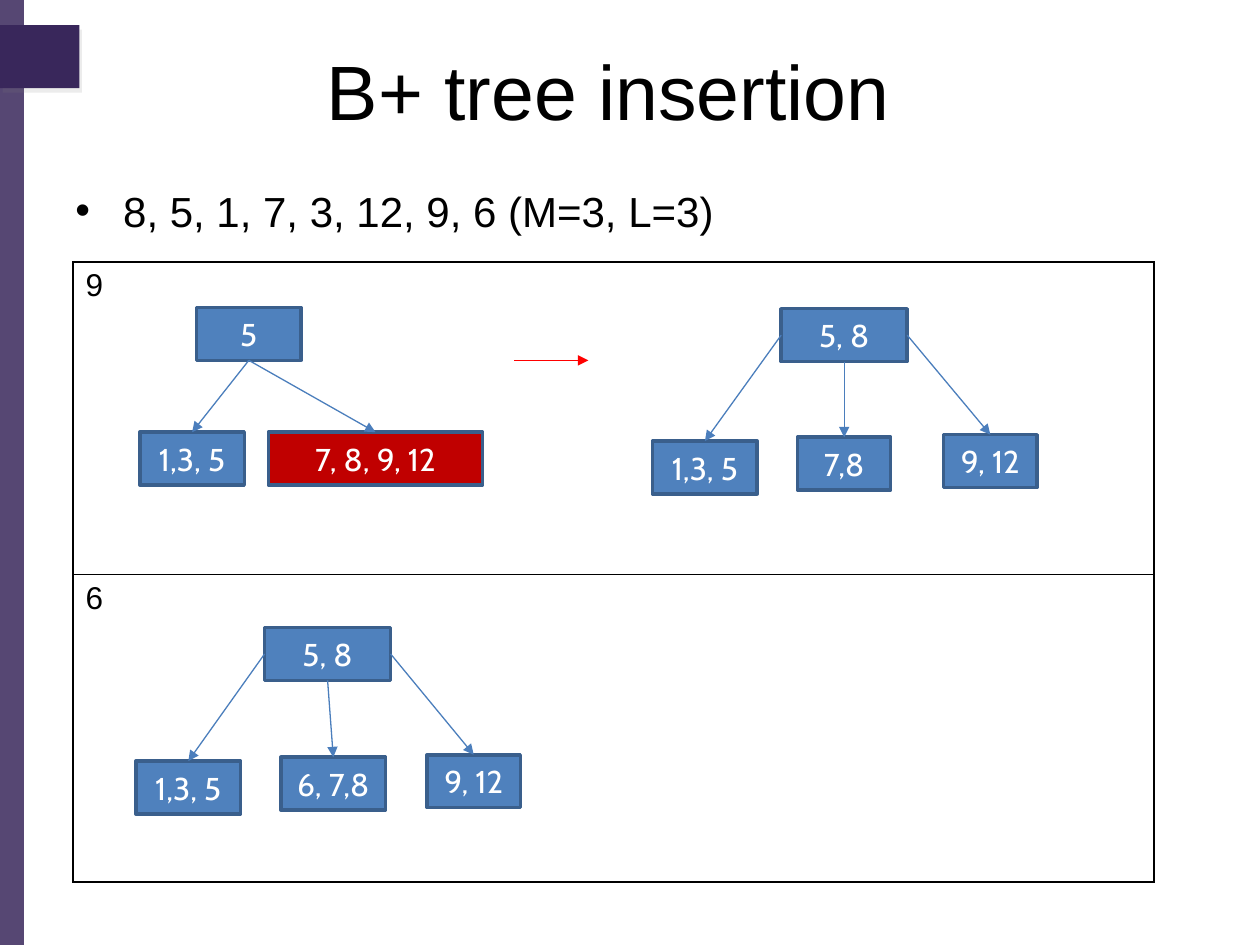
from dataclasses import dataclass

from lxml.etree import SubElement
from pptx import Presentation
from pptx.dml.color import RGBColor
from pptx.enum.shapes import MSO_CONNECTOR, MSO_SHAPE
from pptx.enum.text import MSO_ANCHOR, PP_ALIGN
from pptx.oxml import parse_xml
from pptx.oxml.ns import nsdecls, qn
from pptx.shapes.autoshape import Shape
from pptx.shapes.connector import Connector
from pptx.slide import Slide
from pptx.text.text import _Paragraph as Paragraph
from pptx.util import Inches, Pt

PURPLE = RGBColor(0x39, 0x27, 0x5B)
BLUE = RGBColor(0x4F, 0x81, 0xBD)
NODE_EDGE = RGBColor(0x3A, 0x5F, 0x8C)
LINK_BLUE = RGBColor(0x4B, 0x7E, 0xBC)
OVERFLOW_RED = RGBColor(0xC0, 0x00, 0x00)
STEP_RED = RGBColor(0xFF, 0x00, 0x00)
BLACK = RGBColor(0x00, 0x00, 0x00)
WHITE = RGBColor(0xFF, 0xFF, 0xFF)

NODE_HEIGHT = 0.42
TOP, LEFT, BOTTOM, RIGHT = range(4)


@dataclass(frozen=True)
class Node:
    keys: str
    left: float
    top: float
    width: float = 0.83
    fill: RGBColor = BLUE


@dataclass(frozen=True)
class Tree:
    """A root and its leaves, each paired with the root side its link leaves."""
    root: Node
    leaves: tuple[tuple[int, Node], ...]


TREES = (
    Tree(Node("5", 1.56, 2.44), (
        (BOTTOM, Node("1,3, 5", 1.11, 3.43)),
        (BOTTOM, Node("7, 8, 9, 12", 2.13, 3.43, 1.7, OVERFLOW_RED)),
    )),
    Tree(Node("5, 8", 6.2, 2.45, 1), (
        (LEFT, Node("1,3, 5", 5.18, 3.5)),
        (BOTTOM, Node("7,8", 6.33, 3.47, 0.74)),
        (RIGHT, Node("9, 12", 7.49, 3.45, 0.74)),
    )),
    Tree(Node("5, 8", 2.1, 4.98, 1), (
        (LEFT, Node("1,3, 5", 1.08, 6.04)),
        (BOTTOM, Node("6, 7,8", 2.23, 6.01)),
        (RIGHT, Node("9, 12", 3.39, 5.99, 0.74)),
    )),
)


def set_font(paragraph: Paragraph, size: float, name: str = "Arial",
             color: RGBColor = BLACK) -> None:
    paragraph.font.size = Pt(size)
    paragraph.font.name = name
    paragraph.font.bold = False
    paragraph.font.color.rgb = color


def add_rectangle(slide: Slide, left: float, top: float, width: float,
                  height: float, fill: RGBColor) -> Shape:
    rectangle = slide.shapes.add_shape(
        MSO_SHAPE.RECTANGLE, Inches(left), Inches(top), Inches(width), Inches(height))
    rectangle.shadow.inherit = False
    rectangle.fill.solid()
    rectangle.fill.fore_color.rgb = fill
    rectangle.line.fill.background()
    return rectangle


def add_side_decoration(slide: Slide) -> None:
    band = add_rectangle(slide, 0, 0, 0.19, 7.5, PURPLE)
    band_color = band.fill._xPr.find(qn("a:solidFill"))[0]
    SubElement(band_color, qn("a:alpha"), val="85000")
    tab = add_rectangle(slide, 0, 0.2, 0.63, 0.5, PURPLE)
    tab.element.spPr.find(qn("a:effectLst")).append(parse_xml(
        f'<a:outerShdw {nsdecls("a")} blurRad="0" dist="38100" dir="3600000">'
        '<a:srgbClr val="808080"><a:alpha val="15000"/></a:srgbClr></a:outerShdw>'))


def add_text(slide: Slide, text: str, left: float, top: float, width: float,
             height: float, size: float) -> Shape:
    box = slide.shapes.add_textbox(
        Inches(left), Inches(top), Inches(width), Inches(height))
    box.text_frame.word_wrap = True
    paragraph = box.text_frame.paragraphs[0]
    paragraph.text = text
    set_font(paragraph, size)
    return box


def add_heading(slide: Slide) -> None:
    title = add_text(slide, "B+ tree insertion", 0.33, 0.25, 9, 0.92, 44)
    title.text_frame.vertical_anchor = MSO_ANCHOR.MIDDLE
    title.text_frame.paragraphs[0].alignment = PP_ALIGN.CENTER

    sequence = add_text(slide, "8, 5, 1, 7, 3, 12, 9, 6 (M=3, L=3)",
                        0.5, 1.42, 9, 5.75, 24)
    paragraph = sequence.text_frame.paragraphs[0]
    paragraph.space_before = Pt(4.8)
    properties = paragraph._p.get_or_add_pPr()
    properties.set("marL", str(Inches(0.38)))
    properties.set("indent", str(-Inches(0.38)))
    bullet_font = SubElement(properties, qn("a:buFont"), typeface="Arial")
    bullet_font.addnext(parse_xml(f'<a:buChar {nsdecls("a")} char="•"/>'))
    # The schema wants default run properties after the bullet.
    defaults = properties.find(qn("a:defRPr"))
    if defaults is not None:
        properties.append(defaults)


def add_steps_table(slide: Slide) -> None:
    steps = (("9", 2.48), ("6", 2.44))
    table = slide.shapes.add_table(
        len(steps), 1, Inches(0.58), Inches(2.08), Inches(8.58), Inches(4.92)).table
    table.first_row = table.horz_banding = False
    for index, (inserted_key, height) in enumerate(steps):
        table.rows[index].height = Inches(height)
        cell = table.cell(index, 0)
        cell.text = inserted_key
        set_font(cell.text_frame.paragraphs[0], 18)
        properties = cell._tc.get_or_add_tcPr()
        for edge in ("lnL", "lnR", "lnT", "lnB"):
            properties.append(parse_xml(
                f'<a:{edge} {nsdecls("a")} w="{Pt(1)}"><a:solidFill>'
                f'<a:srgbClr val="{BLACK}"/></a:solidFill></a:{edge}>'))
        cell.fill.background()


def add_arrow(slide: Slide, start: tuple[float, float], end: tuple[float, float],
              color: RGBColor) -> Connector:
    arrow = slide.shapes.add_connector(
        MSO_CONNECTOR.STRAIGHT, *(Inches(value) for value in (*start, *end)))
    arrow.line.color.rgb = color
    arrow.line.width = Pt(0.75)
    SubElement(arrow.line._get_or_add_ln(), qn("a:tailEnd"), type="triangle")
    SubElement(arrow._element.spPr, qn("a:effectLst"))
    return arrow


def add_node(slide: Slide, node: Node) -> Shape:
    box = add_rectangle(slide, node.left, node.top, node.width, NODE_HEIGHT, node.fill)
    box.line.color.rgb = NODE_EDGE
    box.line.width = Pt(2)
    box.text_frame.vertical_anchor = MSO_ANCHOR.MIDDLE
    paragraph = box.text_frame.paragraphs[0]
    paragraph.text = node.keys
    paragraph.alignment = PP_ALIGN.CENTER
    set_font(paragraph, 18, "Cabin", WHITE)
    return box


def add_tree(slide: Slide, tree: Tree) -> None:
    root = add_node(slide, tree.root)
    for side, leaf_node in tree.leaves:
        leaf = add_node(slide, leaf_node)
        link = add_arrow(slide, (0, 0), (1, 1), LINK_BLUE)
        link.begin_connect(root, side)
        link.end_connect(leaf, TOP)


def main() -> None:
    presentation = Presentation()
    presentation.slide_width = Inches(10)
    presentation.slide_height = Inches(7.5)
    slide = presentation.slides.add_slide(presentation.slide_layouts[6])
    add_side_decoration(slide)
    add_heading(slide)
    add_steps_table(slide)
    for tree in TREES:
        add_tree(slide, tree)
    add_arrow(slide, (4.08, 2.86), (4.67, 2.86), STEP_RED)
    presentation.save("out.pptx")


if __name__ == "__main__":
    main()
